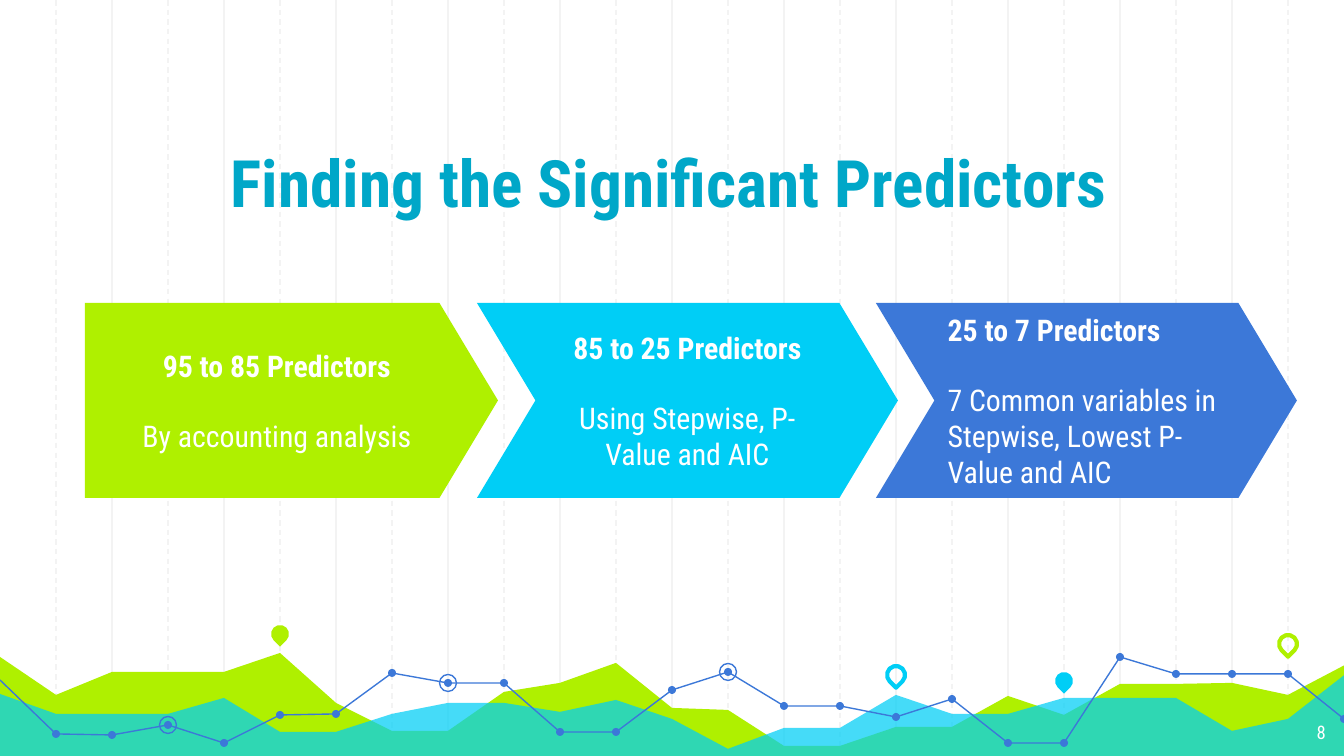
from lxml.etree import SubElement as Sub
from pptx import Presentation
from pptx.dml.color import RGBColor as RGB
from pptx.enum.dml import MSO_LINE
from pptx.enum.shapes import MSO_CONNECTOR, MSO_SHAPE as Kind
from pptx.enum.text import MSO_ANCHOR as Anchor, PP_ALIGN as Align
from pptx.oxml.ns import qn
from pptx.util import Inches, Pt

FONT = "Roboto Condensed"
WHITE = RGB(0xFF, 0xFF, 0xFF)
GRAY = RGB(0xF3, 0xF3, 0xF3)
LIME = RGB(0xAF, 0xF0, 0x00)
CYAN = RGB(0x00, 0xCE, 0xF6)
BLUE = RGB(0x3C, 0x78, 0xD8)
TEAL = RGB(0x00, 0xA7, 0xC8)

# Content
TITLE = "Finding the Significant Predictors"
PAGE = "8"
STEPS = [  # kind, left, width, point, fill, align, head, note
    (Kind.PENTAGON, 85, 413, 0.3, LIME, Align.CENTER,
     "95 to 85 Predictors", "By accounting analysis"),
    (Kind.CHEVRON, 477, 421, 0.3, CYAN, Align.CENTER,
     "85 to 25 Predictors", "Using Stepwise, P-Value and AIC"),
    (Kind.CHEVRON, 876, 421, 0.3, BLUE, Align.LEFT,
     "25 to 7 Predictors",
     "7 Common variables in Stepwise, Lowest P-Value and AIC"),
]

# Heights of the footer chart, one per grid column
HILLS = [655, 695, 672, 672, 672, 653, 703, 731, 731, 692, 683, 663, 708,
         710, 746, 746, 727, 727, 696, 715, 684, 684, 683, 695, 664]
WAVES = [693, 714, 714, 714, 698, 732, 732, 714, 703, 703, 712, 700, 719,
         749, 728, 728, 695, 714, 714, 698, 698, 698, 731, 719, 673]
TREND = [680, 734, 735, 725, 743, 715, 714, 673, 683, 683, 732, 732, 690,
         672, 706, 706, 717, 699, 743, 743, 657, 674, 674, 674, 719]
RINGS = [3, 8, 13]
PINS = [  # column, y, colour, filled
    (5, 634, LIME, True), (16, 675, CYAN, False),
    (19, 681, CYAN, True), (23, 644, LIME, False),
]

W, H = 1344, 756
PX = 9144000 / W
COL = W // 24
BASE = 758


def px(*nums):
    return [round(n * PX) for n in nums]


def paint(shape, fill=None, line=None, pt=0.75):
    shape.shadow.inherit = False
    if fill is None:
        shape.fill.background()
    else:
        shape.fill.solid()
        shape.fill.fore_color.rgb = fill
    if line is None:
        shape.line.fill.background()
    else:
        shape.line.color.rgb = line
        shape.line.width = Pt(pt)
    return shape


def dot(kind, x, y, size, **look):
    box = px(x - size / 2, y - size / 2, size, size)
    return paint(shapes.add_shape(kind, *box), **look)


def path(pts, close, **look):
    pen = shapes.build_freeform(*pts[0], scale=PX)
    pen.add_line_segments(pts[1:], close=close)
    return paint(pen.convert_to_shape(), **look)


def area(tops, fill):
    pts = [(i * COL, y) for i, y in enumerate(tops)]
    pts[0], pts[-1] = (-3, tops[0]), (W + 3, tops[-1])
    return path(pts + [(W + 3, BASE), (-3, BASE)], True, fill=fill)


def write(shape, lines, size, color, align, anchor):
    """Fill a shape with (text, bold) lines, one blank line's height apart."""
    frame = shape.text_frame
    frame.word_wrap = True
    frame.vertical_anchor = anchor
    frame.margin_left = frame.margin_right = Inches(0.1)
    frame.margin_top = frame.margin_bottom = Inches(0.1)
    frame.text = "\n".join(text for text, bold in lines)
    for i, (para, (text, bold)) in enumerate(zip(frame.paragraphs, lines)):
        para.alignment = align
        if i:
            para.space_before = Pt(size * 1.17)
        font = para.runs[0].font
        font.name, font.size, font.bold = FONT, Pt(size), bold
        font.color.rgb = color


prs = Presentation()
prs.slide_width, prs.slide_height = px(W, H)
slide = prs.slides.add_slide(prs.slide_layouts[6])
shapes = slide.shapes

# Background grid: odd columns dashed
for i in range(1, 24):
    x = i * COL
    rule = shapes.add_connector(MSO_CONNECTOR.STRAIGHT, *px(x, 0, x, 759))
    rule.line.color.rgb = GRAY
    rule.line.width = Pt(0.75)
    if i % 2:
        rule.line.dash_style = MSO_LINE.DASH
    Sub(rule._element.spPr, qn("a:effectLst"))

# Footer areas
area(HILLS, LIME)
waves = area(WAVES, CYAN)
tint = waves._element.spPr.find(qn("a:solidFill"))[0]
Sub(tint, qn("a:alpha"), val="73000")

# Trend line in three parts, with dots and rings
spots = [(i * COL, y) for i, y in enumerate(TREND)]
for a, b in [(0, 11), (11, 20), (20, 24)]:
    path(spots[a:b + 1], False, line=BLUE)
for x, y in spots[1:]:
    dot(Kind.OVAL, x, y, 8, fill=BLUE)
for i in RINGS:
    dot(Kind.OVAL, *spots[i], 17, line=BLUE)

# Map pins
for i, y, color, full in PINS:
    look = {"fill": color} if full else {"line": color, "pt": 2.25}
    dot(Kind.TEAR, i * COL, y, 18, **look).rotation = 135

# Title
title = shapes.add_textbox(*px(155, 93, 1028, 141))
write(title, [(TITLE, True)], 35, TEAL, Align.CENTER, Anchor.BOTTOM)

# Step arrows
for kind, left, wide, point, fill, align, head, note in STEPS:
    arrow = shapes.add_shape(kind, *px(left, 303, wide, 195))
    arrow.adjustments[0] = point
    paint(arrow, fill=fill)
    write(arrow, [(head, True), (note, False)], 16, WHITE, align,
          Anchor.MIDDLE)

# Page number
page = shapes.add_textbox(*px(1258, 710, 81, 47))
write(page, [(PAGE, False)], 10, WHITE, Align.RIGHT, Anchor.TOP)

prs.save("out.pptx")
